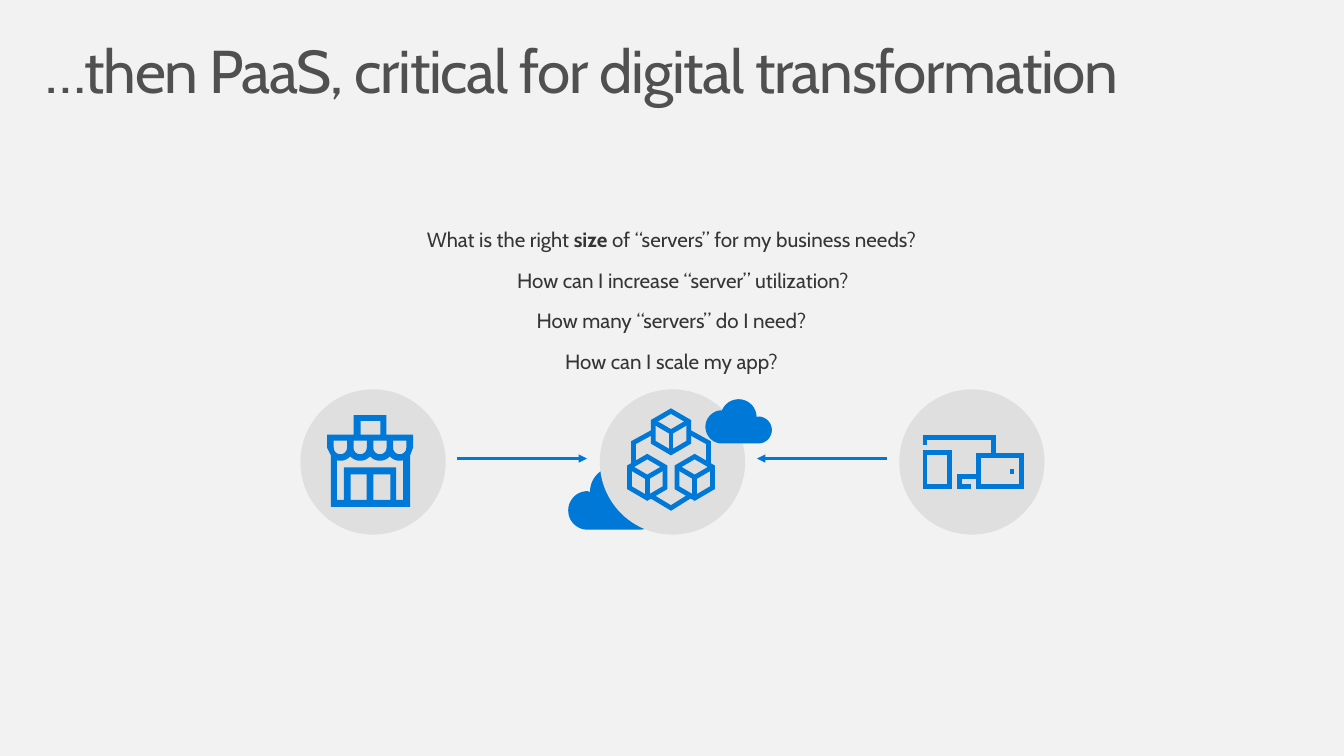
from math import cos, radians, sin

from lxml.etree import SubElement
from pptx import Presentation
from pptx.dml.color import RGBColor
from pptx.enum.shapes import MSO_CONNECTOR, MSO_SHAPE
from pptx.enum.text import PP_ALIGN
from pptx.oxml.ns import qn
from pptx.util import Inches, Pt

COLUMNS = 136
BLUE, DISC_GREY, PAPER = "0078D7", "DFDFDF", "F2F2F2"
TITLE_GREY, QUESTION_GREY = "505050", "353535"
ICON_STROKE = 3.5


def colour(hex_code):
    return RGBColor.from_string(hex_code)


def arc(cx, cy, radius, start, end, steps=24):
    """Points on a circle; degrees run clockwise from the right."""
    angles = [radians(start + (end - start) * i / steps) for i in range(steps + 1)]
    return [(cx + radius * cos(a), cy + radius * sin(a)) for a in angles]


def box(left, top, right, bottom):
    return [(left, top), (right, top), (right, bottom), (left, bottom)]


class Board:
    """Draws on one slide, in cells of a square grid 136 columns wide."""

    def __init__(self, deck, font):
        self.slide = deck.slides.add_slide(deck.slide_layouts[6])
        self.shapes = self.slide.shapes
        self.font = font
        self.cell = deck.slide_width / COLUMNS
        self.slide.background.fill.solid()
        self.slide.background.fill.fore_color.rgb = colour(PAPER)

    def at(self, *cells):
        return [round(c * self.cell) for c in cells]

    def paint(self, shape, fill=None, stroke=None):
        shape.shadow.inherit = False
        if fill:
            shape.fill.solid()
            shape.fill.fore_color.rgb = colour(fill)
        else:
            shape.fill.background()
        if stroke:
            self.ink(shape, stroke)
        else:
            shape.line.fill.background()

    def ink(self, shape, width):
        shape.line.color.rgb = colour(BLUE)
        shape.line.width = Pt(width)
        SubElement(shape.get_or_add_ln(), qn("a:miter"), lim="800000")

    def preset(self, kind, left, top, width, height, **paint):
        self.paint(self.shapes.add_shape(kind, *self.at(left, top, width, height)), **paint)

    def outline(self, *contours, close=True, **paint):
        """Draw contours as one shape; an inner contour is a hole."""
        paths = [[tuple(self.at(*point)) for point in contour] for contour in contours]
        builder = self.shapes.build_freeform(*paths[0][0])
        for number, path in enumerate(paths):
            if number:
                builder.move_to(*path[0])
            builder.add_line_segments(path[1:], close=close)
        self.paint(builder.convert_to_shape(), **paint)

    def stroke(self, *points):
        self.outline(points, close=False, stroke=ICON_STROKE)

    def line(self, x1, y1, x2, y2, width=ICON_STROKE, arrow=False):
        connector = self.shapes.add_connector(MSO_CONNECTOR.STRAIGHT, *self.at(x1, y1, x2, y2))
        self.ink(connector, width)
        if arrow:
            SubElement(connector.get_or_add_ln(), qn("a:tailEnd"), type="triangle")
        SubElement(connector._element.spPr, qn("a:effectLst"))

    def text(self, runs, left, top, width, height, size=15, ink=QUESTION_GREY,
             align=PP_ALIGN.CENTER, side_inset=1, inset=0.5, line_spacing=None, tracking=0):
        """Write (words, bold) runs as one paragraph."""
        frame = self.shapes.add_textbox(*self.at(left, top, width, height)).text_frame
        frame.word_wrap = True
        frame.margin_left = frame.margin_right = self.at(side_inset)[0]
        frame.margin_top = frame.margin_bottom = self.at(inset)[0]
        paragraph = frame.paragraphs[0]
        paragraph.alignment = align
        paragraph.line_spacing = line_spacing
        for words, bold in runs:
            run = paragraph.add_run()
            run.text = words
            run.font.name, run.font.size, run.font.bold = self.font, Pt(size), bold
            run.font.color.rgb = colour(ink)
            if tracking:
                run.font._element.set("spc", str(tracking))

    def disc(self, cx):
        self.preset(MSO_SHAPE.OVAL, cx - 7.35, 39.4, 14.7, 14.7, fill=DISC_GREY)

    def cloud(self, x, y, scale):
        """A negative scale mirrors the cloud to the left of x."""
        lobes = arc(1.95, 4.45, 1.95, 90, 270) + arc(4.8, 2.6, 2.6, 180, 338) + arc(7.2, 4, 2.4, 270, 450)
        self.outline([(x + px * scale, y + py * abs(scale)) for px, py in lobes], fill=BLUE)

    def cube(self, cx, cy):
        left, right, upper, lower = cx - 1.8, cx + 1.8, cy - 1.05, cy + 1.05
        self.outline([(left, upper), (cx, cy - 2.1), (right, upper), (right, lower),
                      (cx, cy + 2.1), (left, lower)], stroke=ICON_STROKE)
        self.stroke((right, upper), (cx, cy), (left, upper))
        self.line(cx, cy, cx, cy + 2.1)

    def server_cluster(self):
        for cx, cy in ((70.3, 48.3), (65.5, 48.3), (67.9, 43.7)):
            self.cube(cx, cy)
        self.stroke((69.8, 50.2), (67.9, 51.4), (65.9, 50.2))
        for side in (-1, 1):
            self.stroke(*[(67.9 + side * dx, y) for dx, y in ((1.8, 43.7), (3.8, 44.8), (3.8, 47))])

    def shop(self):
        walls = [(33.1, 44), (35.8, 44), (35.8, 42), (39.1, 42), (39.1, 44), (41.8, 44), (41.8, 45.3),
                 (41.5, 46.1), (41.5, 51.3), (33.5, 51.3), (33.5, 46.1), (33.1, 45.3)]
        bays = [34.45 + 2 * i for i in range(4)]
        awnings = [[(cx - 0.67, 44.6), (cx + 0.67, 44.6)] + arc(cx, 45.3, 0.67, 0, 180) for cx in bays]
        scallops = [point for cx in bays for point in arc(cx, 45.3, 1.33, 138, 42)
                    if 34.1 <= point[0] <= 40.8]
        front = [(34.1, 50.6), (34.1, 46.6), *scallops, (40.8, 46.6), (40.8, 50.6),
                 (40.1, 50.6), (40.1, 47.3), (34.8, 47.3), (34.8, 50.6)]
        doors = [box(35.5, 48, 37.1, 50.6), box(37.8, 48, 39.5, 50.6)]
        sign = box(36.5, 42.6, 38.5, 44)
        self.outline(walls, *awnings, front, *doors, sign, fill=BLUE)

    def devices(self):
        for left, top, width, height in ((93.6, 45.8, 2.5, 3.4), (99, 46.1, 4.4, 3.1)):
            self.preset(MSO_SHAPE.RECTANGLE, left, top, width, height, stroke=ICON_STROKE)
        self.line(102.4, 48, 102.4, 47.5)
        self.stroke((99, 48.2), (97.1, 48.2), (97.1, 49.2), (98.3, 49.2))
        self.stroke((93.6, 45), (93.6, 44.3), (100.5, 44.3), (100.5, 46.1))


def main():
    deck = Presentation()
    deck.slide_width, deck.slide_height = Inches(13.6), Inches(7.65)
    board = Board(deck, "Cabin")

    board.text([("…then PaaS, critical for digital transformation", False)], 3, 3.2, 130, 10,
               size=44, ink=TITLE_GREY, align=PP_ALIGN.LEFT, side_inset=1.6, inset=1,
               line_spacing=0.9, tracking=-100)

    board.cloud(57.5, 47.2, 1)
    icons = (board.shop, board.server_cluster, board.devices)
    for number, draw_icon in enumerate(icons):
        board.disc(37.75 + 30.3 * number)
        draw_icon()
    for start, end in ((46.2, 59.4), (89.8, 76.6)):
        board.line(start, 46.4, end, 46.4, width=2, arrow=True)
    board.cloud(78.1, 40.4, -0.7)

    questions = [
        (67.95, [("What is the right ", False), ("size", True),
                 (" of “servers” for my business needs?", False)]),
        (69.1, [("How can I increase “server” utilization?", False)]),
        (67.95, [("How many “servers” do I need?", False)]),
        (67.95, [("How can I scale my app?", False)]),
    ]
    for row, (centre, runs) in enumerate(questions):
        board.text(runs, centre - 31, 22.5 + 4.1 * row, 62, 3.6)

    deck.save("out.pptx")


if __name__ == "__main__":
    main()
